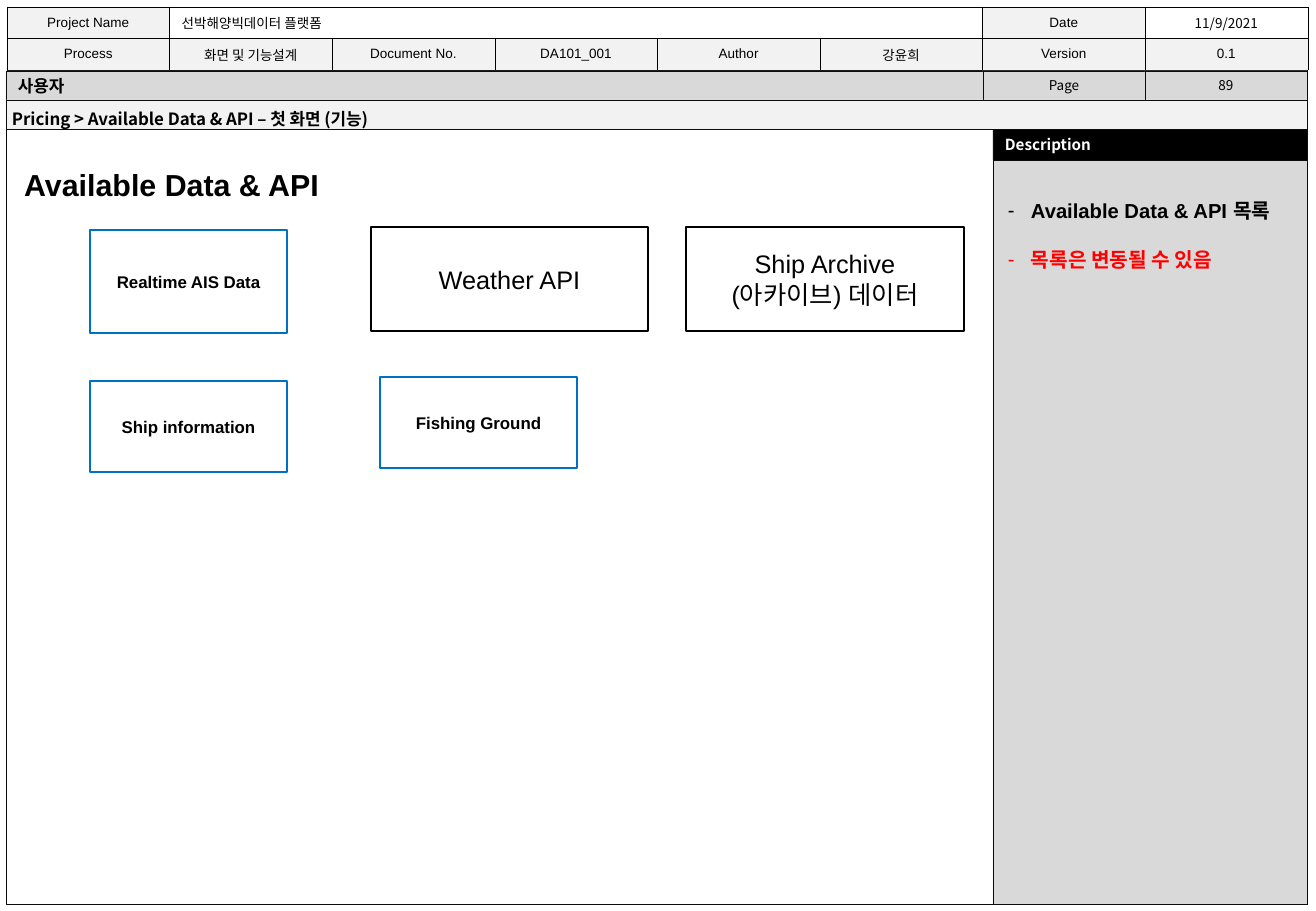
from lxml.etree import SubElement
from pptx import Presentation
from pptx.dml.color import RGBColor
from pptx.enum.shapes import MSO_SHAPE
from pptx.enum.text import MSO_ANCHOR as Anchor, MSO_AUTO_SIZE, PP_ALIGN as Align
from pptx.oxml import parse_xml
from pptx.oxml.ns import nsdecls, qn
from pptx.util import Emu, Pt

SCALE = 7526
ARIAL = "Arial"
NOTO = "Noto Sans CJK KR"
BLACK, WHITE, RED, BLUE = "000000", "FFFFFF", "FF0000", "0070C0"
EDGE, GREY, LIGHT = "0D0D0D", "D9D9D9", "F2F2F2"


def px(length):
    return Emu(length * SCALE)


def color(value):
    return RGBColor.from_string(value)


def add_run(paragraph, text, size, font=ARIAL, ink=BLACK, bold=False):
    run = paragraph.add_run()
    run.text = text
    run.font.size = Pt(size)
    run.font.name = font
    run.font.bold = bold
    run.font.color.rgb = color(ink)
    SubElement(run.font._element, qn("a:ea")).set("typeface", NOTO)


def write(shape, text, size, align=Align.CENTER, anchor=Anchor.MIDDLE, **style):
    frame = shape.text_frame
    frame.word_wrap = True
    frame.auto_size = MSO_AUTO_SIZE.NONE
    frame.vertical_anchor = anchor
    paragraph = frame.paragraphs[0]
    paragraph.alignment = align
    for index, line in enumerate(text.split("\n")):
        if index:
            paragraph.add_line_break()
        add_run(paragraph, line, size, **style)


def add_box(slide, box, fill=None, line=EDGE, width=0.25):
    shape = slide.shapes.add_shape(MSO_SHAPE.RECTANGLE, *map(px, box))
    shape.shadow.inherit = False
    if fill:
        shape.fill.solid()
        shape.fill.fore_color.rgb = color(fill)
    else:
        shape.fill.background()
    shape.line.color.rgb = color(line)
    shape.line.width = Pt(width)
    return shape


def add_label(slide, box, text, size, **style):
    label = slide.shapes.add_textbox(*map(px, box))
    write(label, text, size, **style)


def add_borders(cell):
    properties = cell._tc.get_or_add_tcPr()
    for index, side in enumerate(("lnL", "lnR", "lnT", "lnB")):
        properties.insert(index, parse_xml(
            f'<a:{side} {nsdecls("a")} w="3175"><a:solidFill>'
            f'<a:srgbClr val="{BLACK}"/></a:solidFill></a:{side}>'))


def add_document_table(slide, box):
    width, height = box[2:]
    rows = [
        ["Project Name", "선박해양빅데이터 플랫폼", "", "", "", "", "Date", "11/9/2021"],
        ["Process", "화면 및 기능설계", "Document No.", "DA101_001",
         "Author", "강윤희", "Version", "0.1"],
    ]
    project, date = rows[0][1], rows[0][7]
    table = slide.shapes.add_table(2, 8, *map(px, box)).table
    table.first_row = table.horz_banding = False
    for column in table.columns:
        column.width = Emu(px(width) // 8)
    for row in table.rows:
        row.height = Emu(px(height) // 2)
    table.cell(0, 1).merge(table.cell(0, 5))
    for row_index, row in enumerate(rows):
        for column_index, text in enumerate(row):
            cell = table.cell(row_index, column_index)
            cell.vertical_anchor = Anchor.MIDDLE
            cell.margin_top = cell.margin_bottom = px(5)
            if text in ("", project, date):
                cell.fill.background()
            else:
                cell.fill.solid()
                cell.fill.fore_color.rgb = color(LIGHT)
            add_borders(cell)
            paragraph = cell.text_frame.paragraphs[0]
            paragraph.alignment = Align.LEFT if text == project else Align.CENTER
            if text:
                add_run(paragraph, text, 8, font=NOTO if text == date else ARIAL)
            else:
                SubElement(paragraph._p, qn("a:endParaRPr")).set("sz", "800")


def add_page_bars(slide, box):
    left, top, width, height = box
    cell_width = 162
    page_left = left + width - 2 * cell_width
    number = (page_left + cell_width, top, cell_width, height)
    add_box(slide, box, GREY)
    page = add_box(slide, (page_left, top, cell_width, height), GREY)
    write(page, "Page", 8, font=NOTO)
    add_box(slide, number, GREY)
    add_label(slide, number, "89", 8, font=NOTO)
    add_box(slide, (left, top + height, width, height), LIGHT)
    heading = dict(align=Align.JUSTIFY, anchor=Anchor.TOP, font=NOTO, bold=True)
    add_label(slide, (left, top - 1, 183, 33), "사용자", 10, **heading)
    add_label(slide, (left - 6, top + 32, 1079, 33),
              "Pricing > Available Data & API – 첫 화면 (기능)", 10, **heading)


def add_description(slide, box):
    left, top, width, height = box
    header_height = 31
    add_box(slide, (left, top + header_height, width, height - header_height), GREY)
    header = add_box(slide, (left, top, width, header_height), BLACK)
    write(header, "Description", 9, align=Align.LEFT, font=NOTO, ink=WHITE, bold=True)
    notes = slide.shapes.add_textbox(*map(px, (left + 3, top + 63, 316, 86)))
    frame = notes.text_frame
    frame.word_wrap = True
    items = [("Available Data & API 목록", BLACK), ("목록은 변동될 수 있음", RED)]
    for index, (text, ink) in enumerate(items):
        paragraph = frame.add_paragraph() if index else frame.paragraphs[0]
        if index:
            paragraph.space_before = Pt(15)
        properties = paragraph._p.get_or_add_pPr()
        properties.set("marL", str(px(23)))
        properties.set("indent", str(-px(23)))
        SubElement(properties, qn("a:buFont")).set("typeface", ARIAL)
        SubElement(properties, qn("a:buChar")).set("char", "-")
        add_run(paragraph, text, 12, ink=ink, bold=True)


def add_content(slide, box):
    left, top = box[:2]
    title = slide.shapes.title
    title.left, title.top, title.width, title.height = map(
        px, (left + 6, top + 32, 389, 49))
    write(title, "Available Data & API", 18, align=Align.LEFT,
          anchor=Anchor.TOP, bold=True)
    plain = dict(fill=WHITE, line=BLACK, width=0.75)
    outlined = dict(line=BLUE, width=1)
    cards = [
        ("Weather API", (365, 99, 277, 104), plain, 15),
        ("Ship information", (84, 253, 197, 91), outlined, 10),
        ("Fishing Ground", (374, 249, 197, 91), outlined, 10),
        ("Realtime AIS Data", (84, 102, 197, 103), outlined, 10),
        ("Ship Archive\n(아카이브) 데이터", (680, 99, 278, 104), plain, 15),
    ]
    for text, (x, y, width, height), style, size in cards:
        card = add_box(slide, (left + x, top + y, width, height), **style)
        write(card, text, size, bold=style is outlined)


def main():
    presentation = Presentation()
    presentation.slide_width, presentation.slide_height = px(1316), px(911)
    slide = presentation.slides.add_slide(presentation.slide_layouts[5])
    add_description(slide, (993, 129, 314, 775))
    add_box(slide, (6, 71, 1301, 833))
    add_document_table(slide, (7, 7, 1301, 63))
    add_page_bars(slide, (6, 71, 1301, 29))
    add_content(slide, (6, 128, 987, 776))
    presentation.save("out.pptx")


if __name__ == "__main__":
    main()
